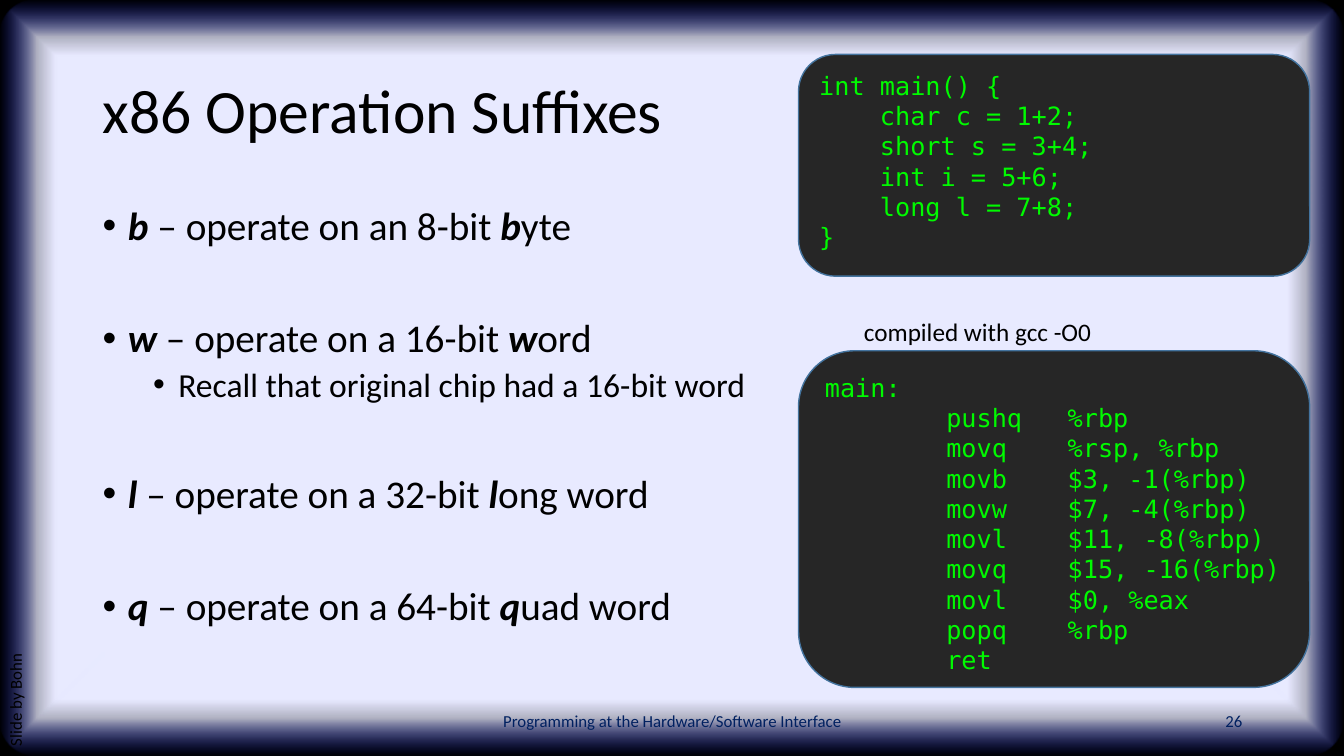
from lxml import etree
from pptx import Presentation
from pptx import util as u
from pptx.dml import color
from pptx.enum import shapes, text
from pptx.oxml import ns

SOURCE_CODE = """int main() {
    char c = 1+2;
    short s = 3+4;
    int i = 5+6;
    long l = 7+8;
}"""

ASSEMBLY = """main:
        pushq   %rbp
        movq    %rsp, %rbp
        movb    $3, -1(%rbp)
        movw    $7, -4(%rbp)
        movl    $11, -8(%rbp)
        movq    $15, -16(%rbp)
        movl    $0, %eax
        popq    %rbp
        ret"""

SUFFIXES = [
    (0, 0, "*b* – operate on an 8-bit *b*yte"),
    (0, 50, "*w* – operate on a 16-bit *w*ord"),
    (1, 5, "Recall that original chip had a 16-bit word"),
    (0, 50, "*l* – operate on a 32-bit *l*ong word"),
    (0, 50, "*q* – operate on a 64-bit *q*uad word"),
]


def rgb(value):
    """Turn a hex string into a colour."""
    return color.RGBColor.from_string(value)


class SlideBuilder:
    """Holds the style and the current slide."""

    font, code_font = "Calibri", "DejaVu Sans Mono"
    ink, footer_ink = "000000", "002060"
    code_ink, code_fill, code_line = "00FA00", "262626", "43739E"
    glow = [(85, "E8EAFF", 100), (90, "E8EAFF", 75), (100, "162AFF", 0)]

    def __init__(self, presentation):
        """Add a title-only slide."""
        self.slide = presentation.slides.add_slide(presentation.slide_layouts[5])

    def style(self, paragraph, size, ink=None, font=None):
        """Set the font of a paragraph."""
        paragraph.font.size = u.Pt(size)
        paragraph.font.name = font or self.font
        paragraph.font.color.rgb = rgb(ink or self.ink)

    def round_box(self, left, top, width, height):
        """Add a rounded rectangle without shadow."""
        shape = self.slide.shapes.add_shape(
            shapes.MSO_SHAPE.ROUNDED_RECTANGLE,
            u.Inches(left), u.Inches(top), u.Inches(width), u.Inches(height))
        shape.shadow.inherit = False
        return shape

    def backdrop(self, width, height):
        """Add the glowing panel on black, behind the title."""
        background = self.slide.background.fill
        background.solid()
        background.fore_color.rgb = rgb("000000")
        panel = self.round_box(0, 0, width, height)
        panel.adjustments[0] = 0.05
        panel.line.fill.background()
        stops = "".join(
            f'<a:gs pos="{position * 1000}"><a:srgbClr val="{value}">'
            f'<a:alpha val="{alpha * 1000}"/></a:srgbClr></a:gs>'
            for position, value, alpha in self.glow)
        gradient = etree.fromstring(
            f'<a:gradFill {ns.nsdecls("a")} rotWithShape="1"><a:gsLst>{stops}</a:gsLst>'
            '<a:path path="shape"><a:fillToRect l="50000" t="50000" r="50000" b="50000"/>'
            '</a:path></a:gradFill>')
        panel._element.spPr.find(ns.qn("a:prstGeom")).addnext(gradient)
        panel._element.addnext(self.slide.shapes.title._element)

    def title(self, words, left, top, width, height):
        """Fill and place the title."""
        title = self.slide.shapes.title
        title.left, title.top = u.Inches(left), u.Inches(top)
        title.width, title.height = u.Inches(width), u.Inches(height)
        frame = title.text_frame
        frame.text = words
        frame.auto_size = text.MSO_AUTO_SIZE.NONE
        frame.vertical_anchor = text.MSO_ANCHOR.MIDDLE
        paragraph = frame.paragraphs[0]
        paragraph.alignment = text.PP_ALIGN.LEFT
        paragraph.line_spacing = 0.9
        self.style(paragraph, 44)

    def text_box(self, left, top, width, height, wrap=True):
        """Add an empty text box."""
        box = self.slide.shapes.add_textbox(
            u.Inches(left), u.Inches(top), u.Inches(width), u.Inches(height))
        box.text_frame.word_wrap = wrap
        return box

    def label(self, words, left, top, width, size=12, ink=None, align="LEFT",
              anchor="TOP", wrap=True, rotation=0):
        """Add a one-line label."""
        box = self.text_box(left, top, width, 0.4, wrap)
        box.rotation = rotation
        box.text_frame.vertical_anchor = text.MSO_ANCHOR[anchor]
        paragraph = box.text_frame.paragraphs[0]
        paragraph.text = words
        paragraph.alignment = text.PP_ALIGN[align]
        self.style(paragraph, size, ink)

    def bullets(self, items, left, top, width, height):
        """Add a bulleted list with starred words in bold italics."""
        frame = self.text_box(left, top, width, height).text_frame
        for index, (level, space, words) in enumerate(items):
            paragraph = frame.add_paragraph() if index else frame.paragraphs[0]
            paragraph.level = level
            paragraph.line_spacing = 0.9
            paragraph.space_before = u.Pt(space)
            properties = paragraph._p.get_or_add_pPr()
            properties.set("marL", str(u.Inches(0.25 + 0.5 * level)))
            properties.set("indent", str(u.Inches(-0.25)))
            bullet_font = etree.SubElement(properties, ns.qn("a:buFont"))
            bullet_font.set("typeface", "Arial")
            etree.SubElement(properties, ns.qn("a:buChar")).set("char", "•")
            self.style(paragraph, 28 - 4 * level)
            for number, part in enumerate(words.split("*")):
                if part:
                    run = paragraph.add_run()
                    run.text = part
                    run.font.bold = run.font.italic = number % 2 == 1

    def code(self, listing, left, top, width, height):
        """Add a dark box with a code listing."""
        shape = self.round_box(left, top, width, height)
        shape.fill.solid()
        shape.fill.fore_color.rgb = rgb(self.code_fill)
        shape.line.color.rgb = rgb(self.code_line)
        shape.line.width = u.Pt(1)
        frame = shape.text_frame
        frame.vertical_anchor = text.MSO_ANCHOR.TOP
        frame.text = listing
        for paragraph in frame.paragraphs:
            paragraph.alignment = text.PP_ALIGN.LEFT
            paragraph.line_spacing = u.Pt(21.6)
            self.style(paragraph, 18, self.code_ink, self.code_font)


def main():
    """Build and save the slide."""
    presentation = Presentation()
    presentation.slide_width = u.Inches(13.33)
    presentation.slide_height = u.Inches(7.5)
    builder = SlideBuilder(presentation)
    builder.backdrop(13.33, 7.5)
    builder.title("x86 Operation Suffixes", 0.92, 0.4, 11.5, 1.45)
    builder.bullets(SUFFIXES, 0.92, 2, 11.5, 4.76)
    builder.label("Programming at the Hardware/Software Interface", 4.42, 6.95, 4.5,
                  ink=builder.footer_ink, align="CENTER", anchor="MIDDLE")
    builder.label("26", 9.42, 6.95, 3, ink=builder.footer_ink, align="RIGHT", anchor="MIDDLE")
    builder.label("Slide by Bohn", -2.44, 4.66, 5.28, rotation=270)
    builder.code(SOURCE_CODE, 7.92, 0.54, 5.07, 2.2)
    builder.code(ASSEMBLY, 7.92, 3.48, 5.07, 3.34)
    builder.label("compiled with gcc -O0", 8.47, 3.09, 2.51, size=18, wrap=False)
    presentation.save("out.pptx")


if __name__ == "__main__":
    main()
